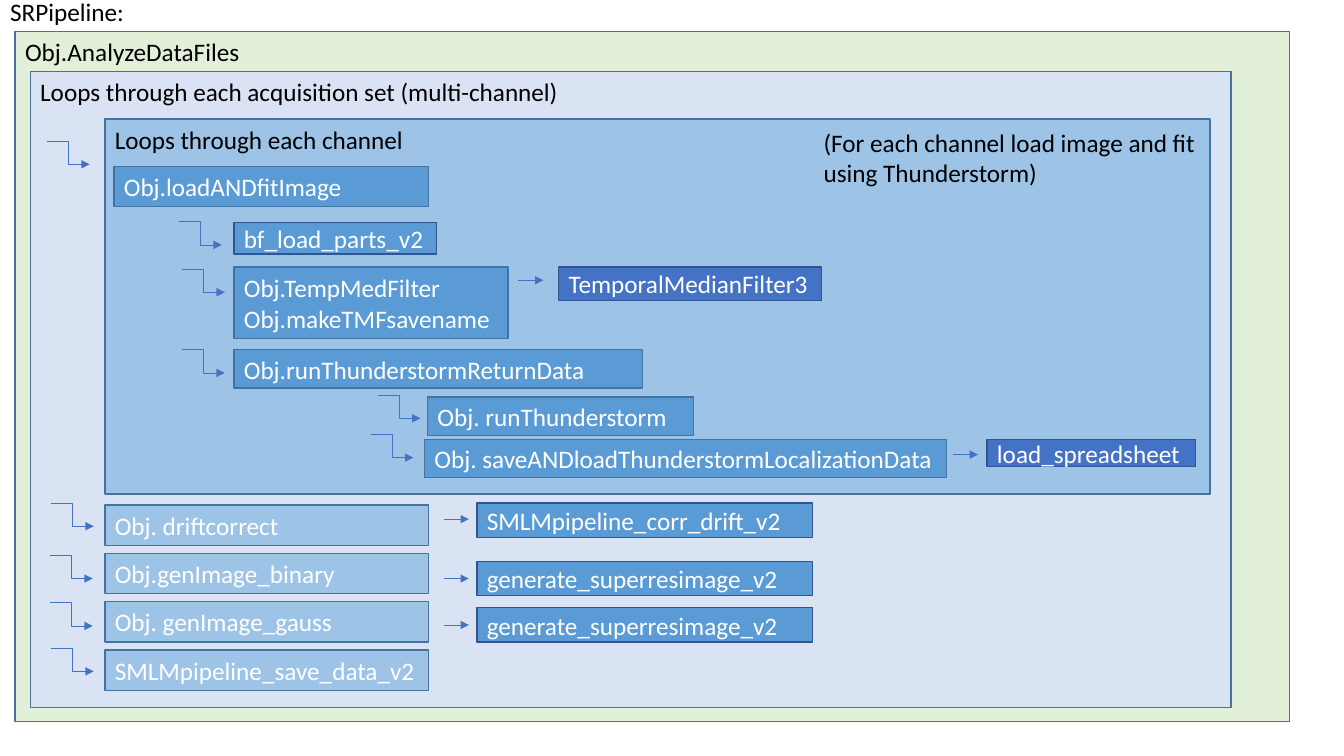
"""Build the SRPipeline call-hierarchy slide."""
from dataclasses import dataclass

import pptx
import pptx.dml.color
import pptx.enum.shapes
import pptx.enum.text
import pptx.oxml
import pptx.oxml.ns
import pptx.util
from pptx.util import Inches


@dataclass(frozen=True)
class Theme:
    font: str = "Calibri"
    size: float = 18
    outline_width: float = 1
    arrow_width: float = 0.5
    black: str = "000000"
    white: str = "FFFFFF"
    green: str = "E2F0D9"
    pale: str = "DAE3F3"
    light: str = "9DC3E6"
    medium: str = "5B9BD5"
    strong: str = "4472C4"
    method_outline: str = "43739E"
    function_outline: str = "325491"


class SlideBuilder:
    def __init__(self, page, theme):
        self.page = page
        self.theme = theme

    def color(self, value):
        return pptx.dml.color.RGBColor.from_string(value)

    def set_text(self, shape, text, color, anchor):
        frame = shape.text_frame
        frame.text = text
        frame.word_wrap = True
        frame.vertical_anchor = anchor
        frame.margin_left = frame.margin_right = Inches(0.1)
        frame.margin_top = frame.margin_bottom = Inches(0.05)
        for paragraph in frame.paragraphs:
            paragraph.alignment = pptx.enum.text.PP_ALIGN.LEFT
            paragraph.line_spacing = 1.0
            paragraph.space_before = pptx.util.Pt(0)
            paragraph.font.name = self.theme.font
            paragraph.font.size = pptx.util.Pt(self.theme.size)
            paragraph.font.color.rgb = self.color(color)

    def place_title(self, text, left, top, width, height):
        title = self.page.shapes.title
        title.left, title.top = Inches(left), Inches(top)
        title.width, title.height = Inches(width), Inches(height)
        self.set_text(title, text, self.theme.black, pptx.enum.text.MSO_ANCHOR.TOP)
        title.text_frame.auto_size = pptx.enum.text.MSO_AUTO_SIZE.NONE

    def add_note(self, text, left, top, width, height):
        note = self.page.shapes.add_textbox(
            Inches(left), Inches(top), Inches(width), Inches(height))
        self.set_text(note, text, self.theme.black, pptx.enum.text.MSO_ANCHOR.TOP)

    def add_box(self, text, left, top, width, height, fill, outline, color, anchor):
        box = self.page.shapes.add_shape(
            pptx.enum.shapes.MSO_SHAPE.RECTANGLE,
            Inches(left), Inches(top), Inches(width), Inches(height))
        box.shadow.inherit = False
        box.fill.solid()
        box.fill.fore_color.rgb = self.color(fill)
        box.line.color.rgb = self.color(outline)
        box.line.width = pptx.util.Pt(self.theme.outline_width)
        self.set_text(box, text, color, anchor)

    def add_panel(self, text, left, top, width, height, fill):
        self.add_box(text, left, top, width, height, fill, self.theme.method_outline,
                     self.theme.black, pptx.enum.text.MSO_ANCHOR.TOP)

    def add_call(self, text, left, top, width, height, fill, outline):
        self.add_box(text, left, top, width, height, fill, outline,
                     self.theme.white, pptx.enum.text.MSO_ANCHOR.MIDDLE)

    def add_arrow(self, kind, left, top, width, drop):
        arrow = self.page.shapes.add_connector(
            kind, Inches(left), Inches(top), Inches(left + width), Inches(top + drop))
        arrow.line.color.rgb = self.color(self.theme.strong)
        arrow.line.width = pptx.util.Pt(self.theme.arrow_width)
        namespace = pptx.oxml.ns.nsdecls("a")
        outline = arrow.element.spPr.get_or_add_ln()
        outline.append(pptx.oxml.parse_xml(f'<a:tailEnd {namespace} type="triangle"/>'))
        outline.addnext(pptx.oxml.parse_xml(f"<a:effectLst {namespace}/>"))

    def add_step_arrow(self, left, top):
        self.add_arrow(pptx.enum.shapes.MSO_CONNECTOR.ELBOW, left, top, 0.42, 0.23)

    def add_call_arrow(self, left, top):
        self.add_arrow(pptx.enum.shapes.MSO_CONNECTOR.STRAIGHT, left, top, 0.25, 0)


theme = Theme()
deck = pptx.Presentation()
deck.slide_width, deck.slide_height = Inches(13.33), Inches(7.5)
builder = SlideBuilder(deck.slides.add_slide(deck.slide_layouts[5]), theme)

builder.place_title("SRPipeline:", 0, -0.09, 1.59, 0.4)

panels = [
    ("Obj.AnalyzeDataFiles", 0.15, 0.31, 12.64, 6.85, theme.green),
    ("Loops through each acquisition set (multi-channel)",
     0.3, 0.71, 11.91, 6.31, theme.pale),
    ("Loops through each channel", 1.04, 1.18, 10.96, 3.72, theme.light),
]
for panel in panels:
    builder.add_panel(*panel)
builder.add_note("(For each channel load image and fit using Thunderstorm)",
                 8.07, 1.21, 4.16, 0.71)

channel_methods = [
    ("Obj.loadANDfitImage", 1.13, 1.65, 3.12, 0.4),
    ("Obj.TempMedFilter\nObj.makeTMFsavename", 2.32, 2.65, 2.72, 0.71),
    ("Obj.runThunderstormReturnData", 2.32, 3.47, 4.05, 0.38),
    ("Obj. runThunderstorm", 4.24, 3.94, 2.64, 0.38),
    ("Obj. saveANDloadThunderstormLocalizationData", 4.21, 4.36, 5.18, 0.38),
]
for method in channel_methods:
    builder.add_call(*method, theme.medium, theme.method_outline)

set_methods = ["Obj. driftcorrect", "Obj.genImage_binary",
               "Obj. genImage_gauss", "SMLMpipeline_save_data_v2"]
for row, text in enumerate(set_methods):
    builder.add_call(text, 1.04, 5.01 + row * 0.48, 3.21, 0.4,
                     theme.light, theme.method_outline)

functions = [
    ("bf_load_parts_v2", 2.32, 2.21, 2.01, 0.31, theme.medium),
    ("TemporalMedianFilter3", 5.54, 2.65, 2.61, 0.33, theme.strong),
    ("load_spreadsheet", 9.79, 4.36, 2.07, 0.27, theme.strong),
    ("SMLMpipeline_corr_drift_v2", 4.73, 4.99, 3.33, 0.34, theme.medium),
    ("generate_superresimage_v2", 4.73, 5.57, 3.33, 0.34, theme.medium),
    ("generate_superresimage_v2", 4.73, 6.03, 3.33, 0.34, theme.medium),
]
for function in functions:
    builder.add_call(*function, theme.function_outline)

step_arrows = [(0.47, 1.4), (1.78, 2.2), (1.81, 2.67), (1.81, 3.47), (3.75, 3.92),
               (3.68, 4.31), (0.51, 4.99), (0.5, 5.51), (0.5, 5.98), (0.51, 6.43)]
for left, top in step_arrows:
    builder.add_step_arrow(left, top)

call_arrows = [(5.14, 2.78), (9.45, 4.51), (4.4, 5.15), (4.4, 5.74), (4.4, 6.2)]
for left, top in call_arrows:
    builder.add_call_arrow(left, top)

deck.save("out.pptx")
